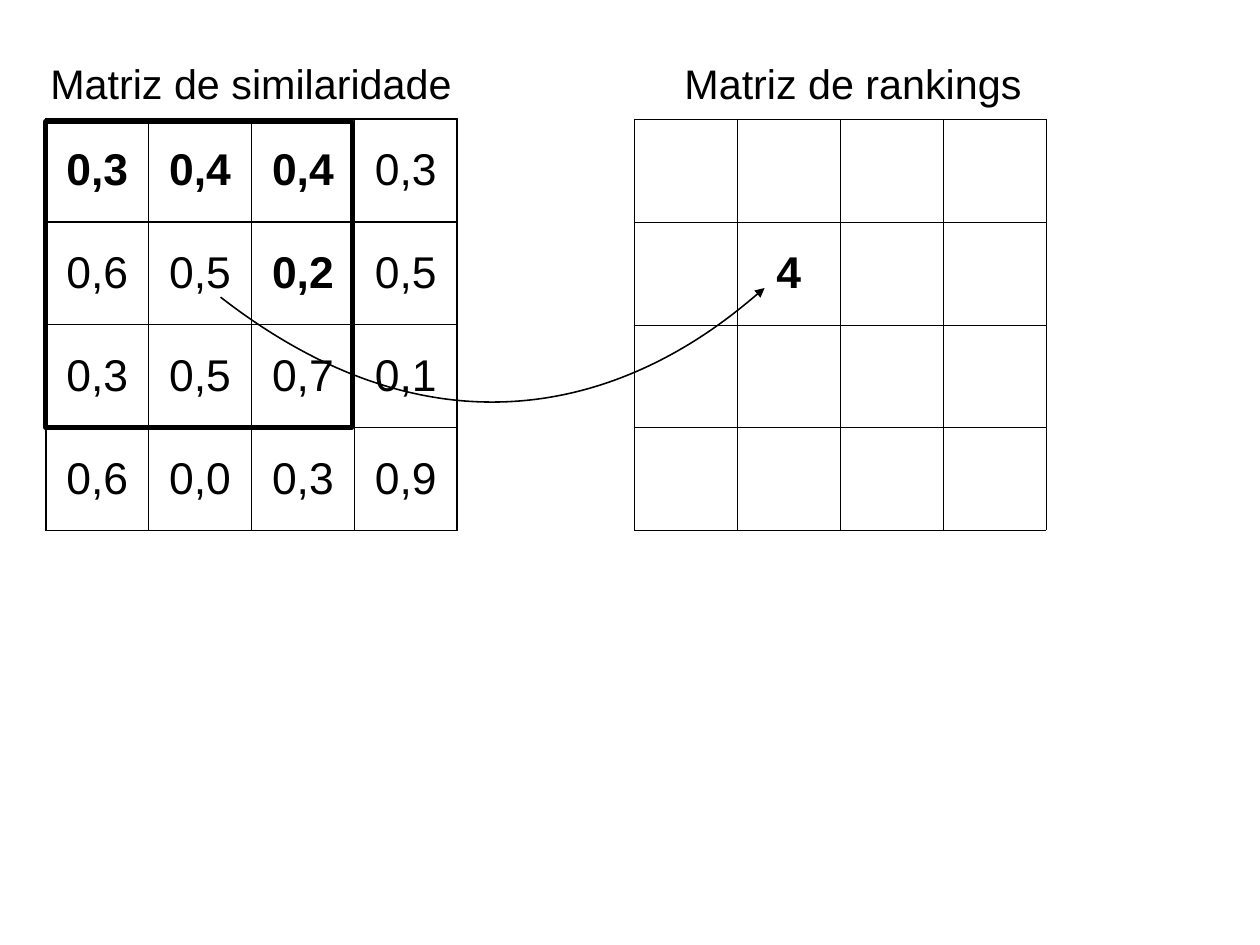
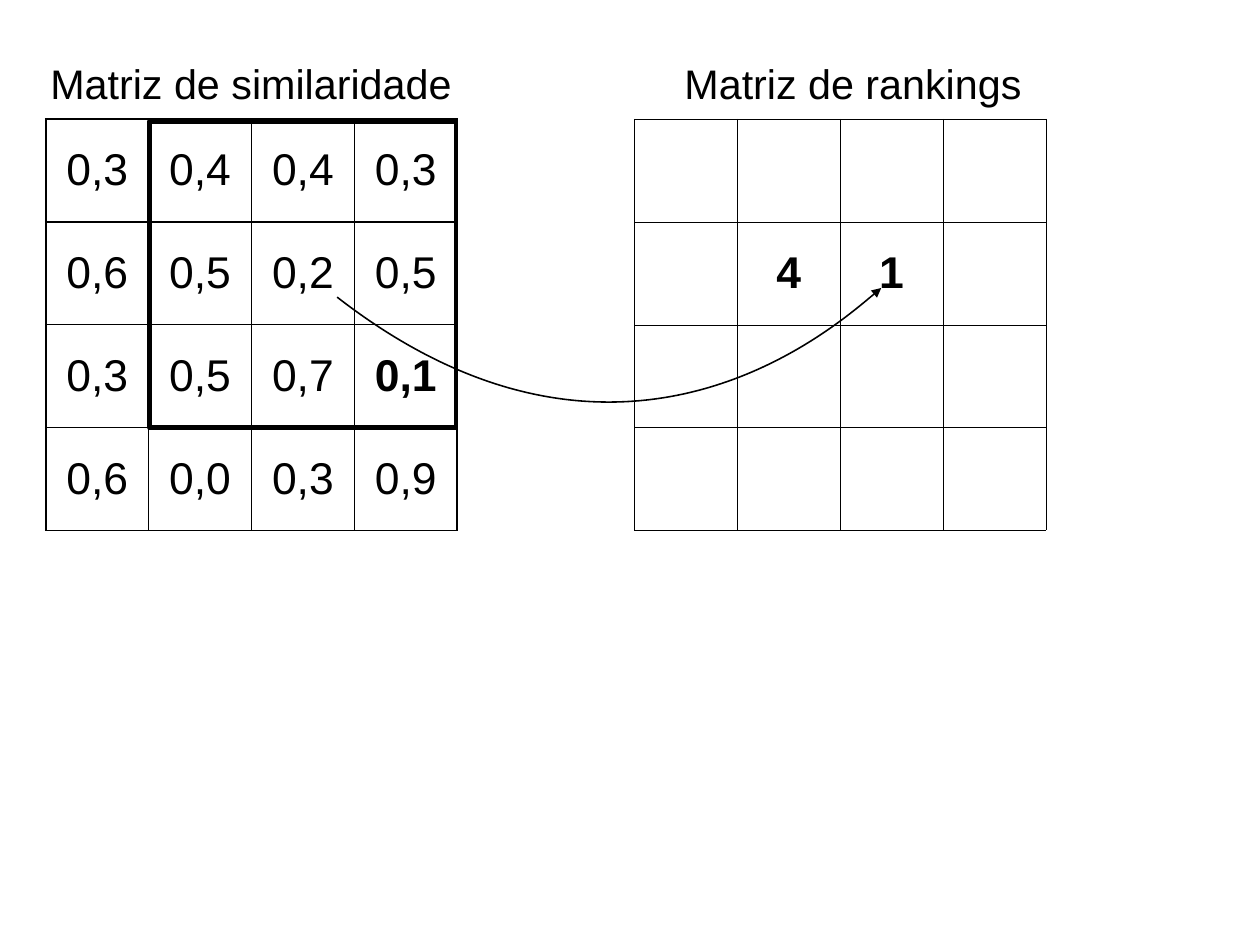
import pptx
import pptx.dml.color
import pptx.enum.shapes
import pptx.enum.text
import pptx.oxml
import pptx.oxml.ns
import pptx.util
import lxml.etree

Inches = pptx.util.Inches
Pt = pptx.util.Pt

COLORS = {"ink": "000000"}
FONT = "Arial"
GRID_SIZE = 4
CELL = 0.9
GRID_TOP = 1.04
SIMILARITY_LEFT = 0.4
RANKING_LEFT = 5.55
SIMILARITIES = [
    ["0,3", "0,4", "0,4", "0,3"],
    ["0,6", "0,5", "0,2", "0,5"],
    ["0,3", "0,5", "0,7", "0,1"],
    ["0,6", "0,0", "0,3", "0,9"],
]
STEPS = [
    {"window": 0, "bold": {(0, 0), (0, 1), (0, 2), (1, 2)}, "ranks": {(1, 1): "4"}},
    {"window": 1, "bold": {(2, 3)}, "ranks": {(1, 1): "4", (1, 2): "1"}},
]


def ink():
    return pptx.dml.color.RGBColor.from_string(COLORS["ink"])


def format_paragraph(paragraph, size, bold, alignment):
    paragraph.alignment = alignment
    paragraph.font.name = FONT
    paragraph.font.size = Pt(size)
    paragraph.font.bold = bold
    paragraph.font.color.rgb = ink()


def outline(shape, width):
    shape.shadow.inherit = False
    shape.fill.background()
    shape.line.color.rgb = ink()
    shape.line.width = Pt(width)


def add_borders(cell, width):
    properties = cell._tc.get_or_add_tcPr()
    for side in ("lnL", "lnR", "lnT", "lnB"):
        properties.append(pptx.oxml.parse_xml(
            f'<a:{side} {pptx.oxml.ns.nsdecls("a")} w="{int(Pt(width))}">'
            f'<a:solidFill><a:srgbClr val="{COLORS["ink"]}"/></a:solidFill></a:{side}>'
        ))


def format_heading(shape, text, left, top, width, height):
    shape.left, shape.top = Inches(left), Inches(top)
    shape.width, shape.height = Inches(width), Inches(height)
    frame = shape.text_frame
    frame.text = text
    frame.word_wrap = False
    frame.auto_size = pptx.enum.text.MSO_AUTO_SIZE.SHAPE_TO_FIT_TEXT
    frame.vertical_anchor = pptx.enum.text.MSO_ANCHOR.TOP
    format_paragraph(frame.paragraphs[0], 26, False, pptx.enum.text.PP_ALIGN.LEFT)


def add_matrix(slide, left, top, values, bold_cells, border):
    side = Inches(CELL * GRID_SIZE)
    table = slide.shapes.add_table(
        GRID_SIZE, GRID_SIZE, Inches(left), Inches(top), side, side).table
    table.first_row = False
    table.horz_banding = False
    for row in range(GRID_SIZE):
        for column in range(GRID_SIZE):
            cell = table.cell(row, column)
            add_borders(cell, border)
            cell.fill.background()
            cell.vertical_anchor = pptx.enum.text.MSO_ANCHOR.MIDDLE
            cell.text = values.get((row, column), "")
            format_paragraph(cell.text_frame.paragraphs[0], 28,
                             (row, column) in bold_cells,
                             pptx.enum.text.PP_ALIGN.CENTER)


def add_curved_arrow(slide, left, top, width, height):
    start_drop = 0.08
    builder = slide.shapes.build_freeform(Inches(left), Inches(top + start_drop))
    builder.add_line_segments([
        (Inches(left + width / 2), Inches(top + height)),
        (Inches(left + width), Inches(top)),
    ], close=False)
    arrow = builder.convert_to_shape()
    outline(arrow, 1)
    qn = pptx.oxml.ns.qn
    outline_path = next(arrow._element.iter(qn("a:path")))
    for segment in outline_path.findall(qn("a:lnTo")):
        outline_path.remove(segment)
    curve = lxml.etree.SubElement(outline_path, qn("a:cubicBezTo"))
    for x, y in ((2.51, 2.03), (width, 0), (width, 0)):
        lxml.etree.SubElement(curve, qn("a:pt"), x=str(Inches(x)), y=str(Inches(y)))
    lxml.etree.SubElement(arrow.line._get_or_add_ln(), qn("a:tailEnd"), type="triangle")


def add_window(slide, left, top, side):
    window = slide.shapes.add_shape(
        pptx.enum.shapes.MSO_SHAPE.RECTANGLE,
        Inches(left), Inches(top), Inches(side), Inches(side))
    outline(window, 3)


def add_step_slide(presentation, step):
    slide = presentation.slides.add_slide(presentation.slide_layouts[5])
    similarities = {
        (row, column): value
        for row, line in enumerate(SIMILARITIES)
        for column, value in enumerate(line)
    }
    offset = step["window"]
    add_matrix(slide, SIMILARITY_LEFT, GRID_TOP, similarities, step["bold"], 1.13)
    add_curved_arrow(slide, 1.93 + 1.02 * offset, 2.52, 4.76, 0.93)
    add_matrix(slide, RANKING_LEFT, GRID_TOP, step["ranks"], step["ranks"], 0.06)
    add_window(slide, SIMILARITY_LEFT + 0.91 * offset, GRID_TOP + 0.02, 2.68)
    format_heading(slide.shapes.title, "Matriz de similaridade", 0.34, 0.46, 3.72, 0.5)
    ranking_heading = slide.shapes.add_textbox(0, 0, 0, 0)
    format_heading(ranking_heading, "Matriz de rankings", 5.89, 0.46, 3.16, 0.5)


def main():
    presentation = pptx.Presentation()
    presentation.slide_width = pptx.util.Cm(28)
    presentation.slide_height = pptx.util.Cm(21)
    for step in STEPS:
        add_step_slide(presentation, step)
    presentation.save("out.pptx")


if __name__ == "__main__":
    main()
